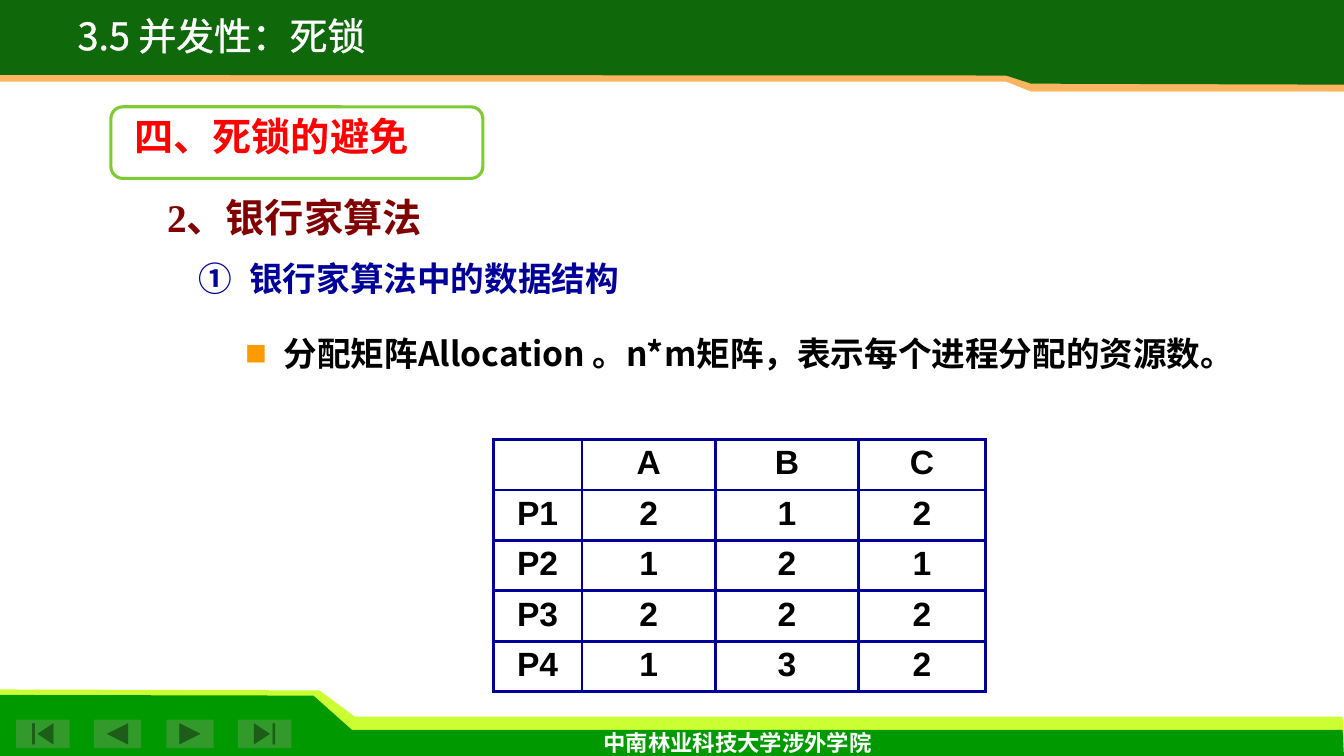
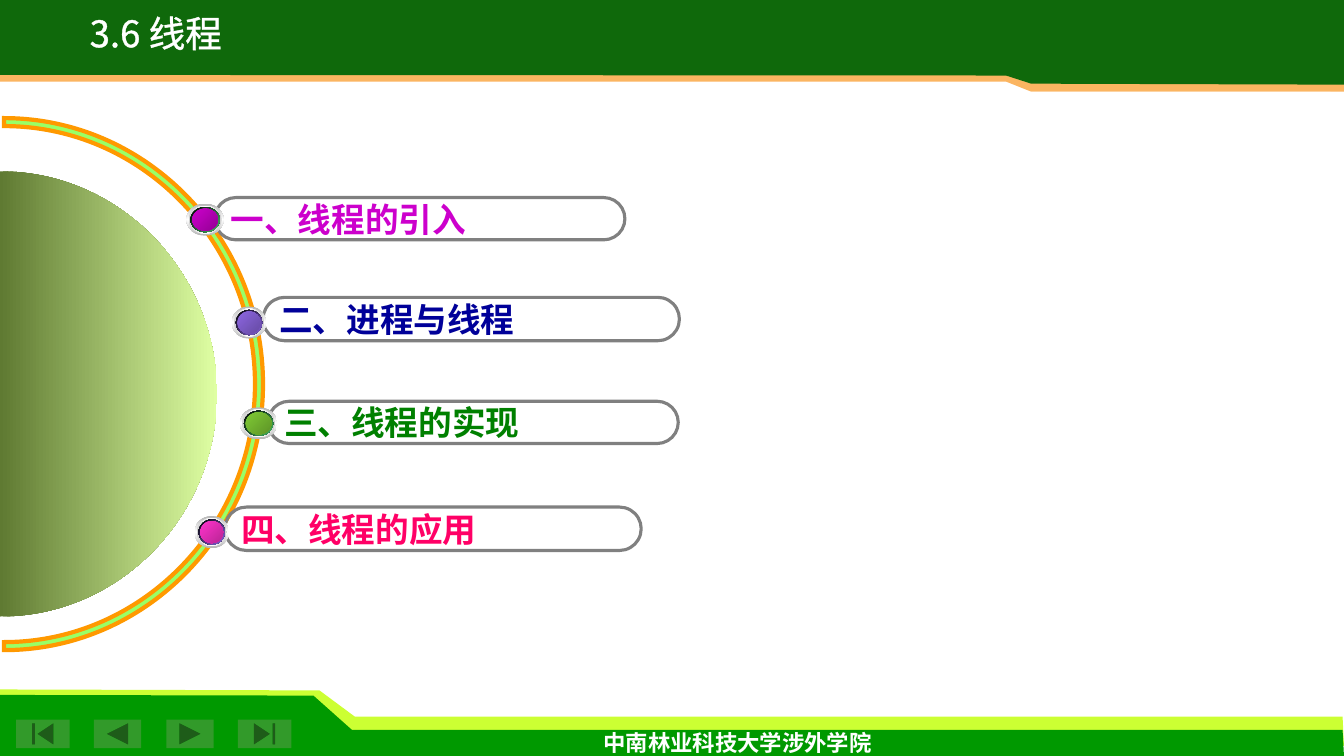
from dataclasses import dataclass
from typing import Optional

from lxml.etree import SubElement
from pptx import Presentation
from pptx.dml.color import RGBColor
from pptx.enum.shapes import MSO_SHAPE as Preset
from pptx.enum.text import MSO_ANCHOR as Anchor, MSO_AUTO_SIZE as AutoSize, PP_ALIGN as Align
from pptx.oxml.ns import qn
from pptx.shapes.autoshape import Shape
from pptx.slide import Slide, SlideLayout
from pptx.text.text import _Paragraph as Paragraph
from pptx.util import Pt

WHITE, BLACK, GRAY, SILVER, PALE_SILVER = map(
    RGBColor.from_string, ("FFFFFF", "000000", "808080", "B6B6B6", "D1D1D1"))
RED, MAROON, NAVY, ORANGE, PEACH = map(
    RGBColor.from_string, ("FF0000", "800000", "000099", "FF9900", "FBB561"))
HEADER_GREEN, FOOTER_GREEN, BUTTON_GREEN, LIME, RING_GREEN = map(
    RGBColor.from_string, ("0F690B", "009900", "329A2A", "CCFF33", "99FF66"))
LEAF, DARK_LEAF, GREEN, MINT, DISC_DARK, DISC_LIGHT = map(
    RGBColor.from_string, ("80CB35", "5E9427", "008000", "48BE67", "5F7A32", "DFFFA3"))
PURPLE, DARK_PURPLE, VIOLET, DARK_VIOLET, PINK, DARK_PINK, ROSE = map(
    RGBColor.from_string, ("CC00CC", "950095", "8D67E1", "674BA4", "FF33CC", "BA2595", "FF0066"))
CJK, SERIF, SANS, FOOTER_FONT = "Noto Sans CJK SC", "Times New Roman", "Arial", "Open Sans"
Points = list[tuple[float, float]]


@dataclass(frozen=True)
class Box:
    """A rectangle in points."""
    left: float
    top: float
    width: float
    height: float

    def emu(self) -> tuple[int, int, int, int]:
        """Return the rectangle as lengths for python-pptx."""
        return Pt(self.left), Pt(self.top), Pt(self.width), Pt(self.height)

    def inset(self, across: float, down: float) -> "Box":
        """Return the rectangle shrunk on every side."""
        return Box(self.left + across, self.top + down,
                   self.width - 2 * across, self.height - 2 * down)


@dataclass(frozen=True)
class TextStyle:
    """Font and spacing of one paragraph."""
    font: str
    size: float
    color: RGBColor
    bold: bool = True
    line_spacing: Optional[float] = None
    space_before: float = 0


@dataclass(frozen=True)
class Topic:
    """A pill with its text and the bead on its left."""
    text: str
    pill: Box
    bead: Box
    text_color: RGBColor
    bead_colors: list[RGBColor]
    rim: RGBColor


BANDS = [
    (LIME, [(0.7, 532.8), (960, 532.8), (959, 511.9), (253.4, 511.9), (228.2, 493.2), (0, 492.5)]),
    (FOOTER_GREEN, [(0, 542.2), (960, 540.7), (959, 521.3), (251.3, 521.3), (223.9, 496.9), (0, 496.4)]),
    (PEACH, [(960, -2.2), (0, -2.2), (0, 58.3), (718.6, 58.3), (736.6, 65.5), (960, 65.5)]),
    (HEADER_GREEN, [(960, -2.2), (0, -2.2), (0, 53.5), (718.6, 54), (736.6, 59.8), (960, 60.5)]),
]
HIGHLIGHT = [(724.3, 65.5), (950.4, 65.5), (949.7, 69.1), (733.7, 69.8)]
BUTTONS = [
    (Preset.ACTION_BUTTON_BEGINNING, 11.5, 38.2), (Preset.ACTION_BUTTON_BACK_OR_PREVIOUS, 67, 33.8),
    (Preset.ACTION_BUTTON_FORWARD_OR_NEXT, 118.8, 33.8), (Preset.ACTION_BUTTON_END, 169.9, 38.2),
]
ALLOCATION = [["", "A", "B", "C"], ["P1", "2", "1", "2"], ["P2", "1", "2", "1"],
              ["P3", "2", "2", "2"], ["P4", "1", "3", "2"]]
COLUMN_WIDTHS = [63.5, 95.2, 102.2, 90.9]
ROW_HEIGHT = 36
TOPICS = [
    Topic("一、线程的引入", Box(153.4, 141.1, 293, 30.2), Box(133.2, 145.4, 26.6, 23),
          PURPLE, [PURPLE, DARK_PURPLE], MINT),
    Topic("二、进程与线程", Box(187.9, 212.4, 297.4, 31), Box(165.6, 218.9, 24.5, 23),
          NAVY, [VIOLET, DARK_VIOLET], VIOLET),
    Topic("三、线程的实现", Box(191.5, 286.6, 293, 30.2), Box(171.4, 290.9, 26.6, 23),
          GREEN, [LEAF, DARK_LEAF], MINT),
    Topic("四、线程的应用", Box(160.6, 362.2, 297.4, 31), Box(139, 368.6, 24.5, 23),
          ROSE, [PINK, DARK_PINK], VIOLET),
]


def write(paragraph: Paragraph, text: str, style: TextStyle, align: Align = Align.LEFT) -> None:
    """Add one styled run to a paragraph."""
    paragraph.alignment, paragraph.space_before = align, Pt(style.space_before)
    if style.line_spacing:
        paragraph.line_spacing = style.line_spacing
    run = paragraph.add_run()
    run.text = text
    run.font.name, run.font.size, run.font.bold = style.font, Pt(style.size), style.bold
    run.font.color.rgb = style.color
    SubElement(run.font._element, qn("a:ea"), typeface=CJK)


def add_text(slide: Slide, box: Box, text: str, style: TextStyle) -> Shape:
    """Add a wrapping text box with one paragraph."""
    shape = slide.shapes.add_textbox(*box.emu())
    shape.text_frame.word_wrap = True
    write(shape.text_frame.paragraphs[0], text, style)
    return shape


def hang(shape: Shape, indent: float, bullet: str, **attributes: str) -> None:
    """Give the text a hanging indent and a bullet element."""
    properties = shape.text_frame.paragraphs[0]._p.get_or_add_pPr()
    properties.set("marL", str(Pt(indent)))
    properties.set("indent", str(-Pt(indent)))
    if bullet == "a:buChar":
        SubElement(SubElement(properties, qn("a:buClr")), qn("a:srgbClr"), val=str(ORANGE))
        SubElement(properties, qn("a:buSzPct"), val="65000")
        SubElement(properties, qn("a:buFont"), typeface=CJK)
    SubElement(properties, qn(bullet), **attributes)


def paint(shape: Shape, fill: Optional[RGBColor] = None,
          line: Optional[RGBColor] = None, width: float = 2.25) -> Shape:
    """Set plain fill and line and drop the shadow."""
    shape.shadow.inherit = False
    shape.fill.background()
    shape.line.fill.background()
    if fill is not None:
        shape.fill.solid()
        shape.fill.fore_color.rgb = fill
    if line is not None:
        shape.line.color.rgb, shape.line.width = line, Pt(width)
    return shape


def paint_gradient(shape: Shape, colors: list[RGBColor], angle: int) -> None:
    """Fill a shape with evenly spaced colours, angle clockwise."""
    paint(shape).fill.gradient()
    shape.fill.gradient_angle = -angle % 360
    stops = shape.element.spPr.find(qn("a:gradFill")).find(qn("a:gsLst"))
    for stop in list(stops):
        stops.remove(stop)
    for index, color in enumerate(colors):
        stop = SubElement(stops, qn("a:gs"), pos=str(100000 * index // (len(colors) - 1)))
        SubElement(stop, qn("a:srgbClr"), val=str(color))


def stroke(parent, tag: str, width: float, color: RGBColor, index: int) -> None:
    """Insert a solid line element among the children of parent."""
    line = SubElement(parent, qn(tag), w=str(Pt(width)))
    SubElement(SubElement(line, qn("a:solidFill")), qn("a:srgbClr"), val=str(color))
    parent.insert(index, line)


def add_outline(slide: Slide, points: Points) -> Shape:
    """Add a closed polygon through the points."""
    corners = [(Pt(x), Pt(y)) for x, y in points]
    builder = slide.shapes.build_freeform(*corners[0])
    builder.add_line_segments(corners[1:], close=True)
    return builder.convert_to_shape()


def half_ellipse(x: float, y: float, across: float, down: float) -> Points:
    """Return Bezier points of the right half of an ellipse around x, y."""
    bend = 0.55
    steps = [(0, -1), (bend, -1), (1, -bend), (1, 0), (1, bend), (bend, 1), (0, 1)]
    return [(x + across * right, y + down * below) for right, below in steps]


def add_curves(slide: Slide, *arcs: Points) -> Shape:
    """Add a closed outline whose arcs are joined by straight lines."""
    shape = add_outline(slide, [point for arc in arcs for point in arc])
    lines = list(shape.element.iter(qn("a:lnTo")))
    for first in (7 * arc + half for arc in range(len(arcs)) for half in (0, 3)):
        curve = SubElement(lines[first].getparent(), qn("a:cubicBezTo"))
        lines[first].addprevious(curve)
        for line in lines[first:first + 3]:
            curve.append(line[0])
            line.getparent().remove(line)
    return shape


def build_frame(layout: SlideLayout, slide: Slide) -> None:
    """Draw bands, buttons and footer, and move them into the layout."""
    for placeholder in list(layout.placeholders):
        if placeholder.placeholder_format.idx != 0:
            placeholder.element.getparent().remove(placeholder.element)
    parts = [paint(add_outline(slide, points), color) for color, points in BANDS]
    for preset, left, width in BUTTONS:
        button = slide.shapes.add_shape(preset, *Box(left, 514.1, width, 20.2).emu())
        parts.append(paint(button, BUTTON_GREEN))
    highlight = paint(add_outline(slide, HIGHLIGHT), WHITE)
    SubElement(next(highlight.element.spPr.iter(qn("a:srgbClr"))), qn("a:alpha"), val="30000")
    footer = add_text(slide, Box(424.1, 517, 208, 26.6), "中南林业科技大学涉外学院",
                      TextStyle(FOOTER_FONT, 16, WHITE))
    footer.text_frame.word_wrap = False
    for part in parts + [highlight, footer]:
        layout.shapes.element.append(part.element)


def set_title(slide: Slide, box: Box, text: str, size: float) -> None:
    """Place and format the title in the header band."""
    title = slide.shapes.title
    title.left, title.top, title.width, title.height = box.emu()
    frame = title.text_frame
    frame.auto_size, frame.word_wrap, frame.vertical_anchor = AutoSize.NONE, False, Anchor.TOP
    style = TextStyle(CJK, size, WHITE, bold=False, line_spacing=0.8)
    write(frame.paragraphs[0], text, style, Align.CENTER)
    stroke(frame.paragraphs[0].runs[0].font._element, "a:ln", 1.5, WHITE, 0)


def add_allocation_table(slide: Slide) -> None:
    """Add the allocation matrix."""
    box = Box(352.3, 313.9, sum(COLUMN_WIDTHS), ROW_HEIGHT * len(ALLOCATION))
    table = slide.shapes.add_table(len(ALLOCATION), len(COLUMN_WIDTHS), *box.emu()).table
    table.first_row = table.horz_banding = False
    for column, width in zip(table.columns, COLUMN_WIDTHS):
        column.width = Pt(width)
    for row, values in zip(table.rows, ALLOCATION):
        row.height = Pt(ROW_HEIGHT)
        for cell, value in zip(row.cells, values):
            cell.fill.background()
            for index, side in enumerate("LRTB"):
                stroke(cell._tc.get_or_add_tcPr(), f"a:ln{side}", 2.25, NAVY, index)
            if value:
                write(cell.text_frame.paragraphs[0], value, TextStyle(SANS, 24, BLACK), Align.CENTER)


def build_banker_slide(slide: Slide) -> None:
    """Fill the slide on the banker's algorithm."""
    set_title(slide, Box(32.5, 11.5, 251.3, 33.8), "3.5 并发性：死锁", 27)
    frame = slide.shapes.add_shape(Preset.ROUNDED_RECTANGLE, *Box(79.2, 76.3, 265.7, 51.1).emu())
    paint(frame, WHITE, LEAF)
    for box, text, color in ((Box(88.9, 82.8, 261.4, 34.6), "四、死锁的避免", RED),
                             (Box(112.3, 141.1, 244.1, 34.6), "2、银行家算法", MAROON)):
        add_text(slide, box, text, TextStyle(SERIF, 28, color, line_spacing=0.8, space_before=5.6))
    structures = add_text(slide, Box(135, 180.7, 315.4, 36), "银行家算法中的数据结构",
                          TextStyle(CJK, 24, NAVY))
    hang(structures, 36, "a:buAutoNum", type="circleNumDbPlain")
    matrix = add_text(slide, Box(168.5, 234, 702, 62.6),
                      "分配矩阵Allocation 。n*m矩阵，表示每个进程分配的资源数。",
                      TextStyle(CJK, 24, BLACK, space_before=4.8))
    hang(matrix, 27, "a:buChar", char="■")
    add_allocation_table(slide)


def add_topic(slide: Slide, topic: Topic) -> None:
    """Add a pill with its text and a layered bead."""
    pill = paint(slide.shapes.add_shape(Preset.ROUNDED_RECTANGLE, *topic.pill.emu()), line=GRAY)
    pill.adjustments[0] = 0.5
    pill.text_frame.word_wrap, pill.text_frame.vertical_anchor = False, Anchor.MIDDLE
    write(pill.text_frame.paragraphs[0], topic.text, TextStyle(SANS, 24, topic.text_color))
    for across, down, colors, angle in ((0, 0, [SILVER, WHITE, SILVER], 90),
                                        (1.44, 1.44, [PALE_SILVER, WHITE, PALE_SILVER], 0),
                                        (2.88, 2.52, [BLACK, topic.rim], 45),
                                        (4.1, 3.6, topic.bead_colors, 45)):
        layer = slide.shapes.add_shape(Preset.OVAL, *topic.bead.inset(across, down).emu())
        paint_gradient(layer, colors, angle)


def build_thread_slide(slide: Slide) -> None:
    """Fill the overview slide on threads."""
    set_title(slide, Box(37.5, 10.1, 147.6, 33.1), "3.6 线程", 26.1)
    outer, inner = half_ellipse(2.9, 274.4, 185, 190), half_ellipse(2.9, 274.4, 179.3, 184.3)
    ring = paint(add_curves(slide, outer, inner[::-1]), RING_GREEN, ORANGE, 3)
    SubElement(ring.element.spPr.find(qn("a:ln")), qn("a:miter"), lim="800000")
    paint_gradient(add_curves(slide, half_ellipse(0, 281.4, 155, 159)), [DISC_DARK, DISC_LIGHT], 0)
    for topic in TOPICS:
        add_topic(slide, topic)


presentation = Presentation()
presentation.slide_width, presentation.slide_height = Pt(960), Pt(540)
title_only = presentation.slide_layouts[5]
banker, threads = (presentation.slides.add_slide(title_only) for _ in range(2))
build_frame(title_only, banker)
build_banker_slide(banker)
build_thread_slide(threads)
presentation.save("out.pptx")
